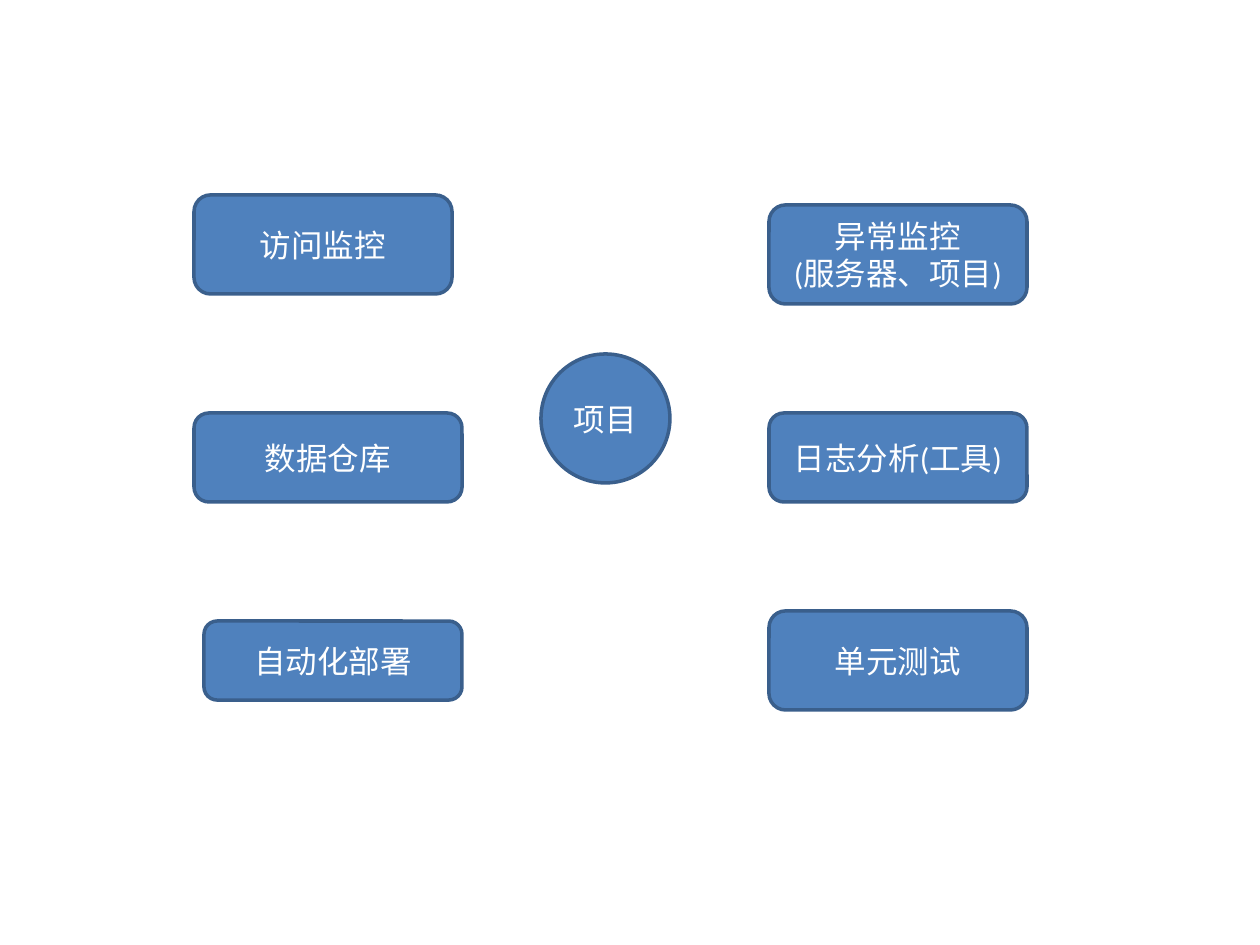
from pptx import Presentation
from pptx.dml.color import RGBColor
from pptx.enum.shapes import MSO_SHAPE
from pptx.enum.text import MSO_ANCHOR, PP_ALIGN
from pptx.util import Emu, Pt

PIXEL = 914400 / 126


def px(length):
    return Emu(round(length * PIXEL))


def color(value):
    return RGBColor.from_string(value)


class Diagram:
    font = "Calibri"
    size = 18
    fill = "4F81BD"
    outline = "3A5F8C"
    ink = "FFFFFF"

    def __init__(self, page):
        self.page = page

    def node(self, kind, left, top, width, height, *lines):
        box = self.page.shapes.add_shape(kind, px(left), px(top), px(width), px(height))
        box.shadow.inherit = False
        box.fill.solid()
        box.fill.fore_color.rgb = color(self.fill)
        box.line.color.rgb = color(self.outline)
        box.line.width = Pt(2)
        frame = box.text_frame
        frame.word_wrap = True
        frame.vertical_anchor = MSO_ANCHOR.MIDDLE
        frame.text = "\n".join(lines)
        for para in frame.paragraphs:
            para.alignment = PP_ALIGN.CENTER
            para.font.name = self.font
            para.font.size = Pt(self.size)
            para.font.color.rgb = color(self.ink)

    def card(self, left, top, width, height, *lines):
        self.node(MSO_SHAPE.ROUNDED_RECTANGLE, left, top, width, height, *lines)

    def hub(self, left, top, diameter, label):
        self.node(MSO_SHAPE.OVAL, left, top, diameter, diameter, label)


deck = Presentation()
deck.slide_width, deck.slide_height = px(1260), px(945)
diagram = Diagram(deck.slides.add_slide(deck.slide_layouts[6]))

LEFT, RIGHT, WIDTH = 194, 769, 258
CARDS = [
    (LEFT, 195, WIDTH, 99, "访问监控"),
    (RIGHT, 205, WIDTH, 99, "异常监控", "(服务器、项目)"),
    (LEFT, 413, 268, 89, "数据仓库"),
    (RIGHT, 413, WIDTH, 89, "日志分析(工具)"),
    (LEFT + 10, 621, WIDTH, 79, "自动化部署"),
    (RIGHT, 611, WIDTH, 99, "单元测试"),
]
for card in CARDS:
    diagram.card(*card)
diagram.hub(541, 354, 129, "项目")

deck.save("out.pptx")
